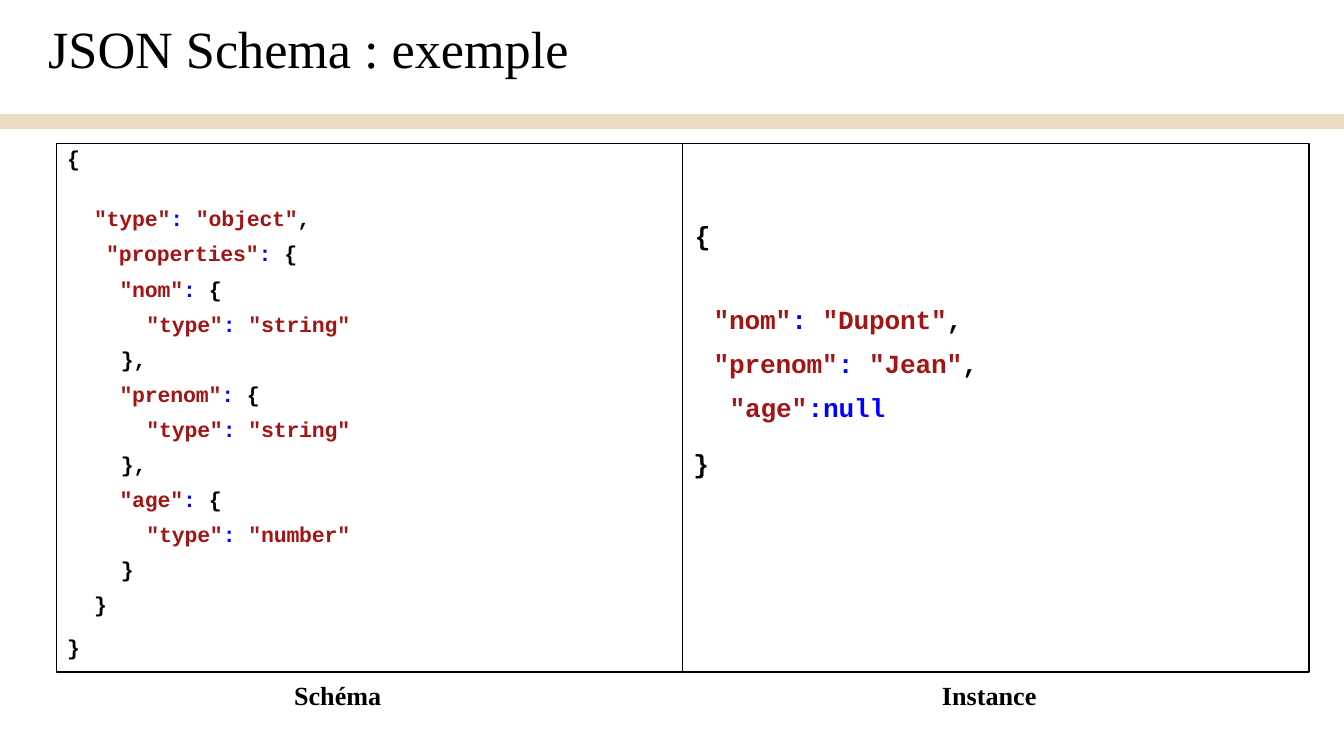
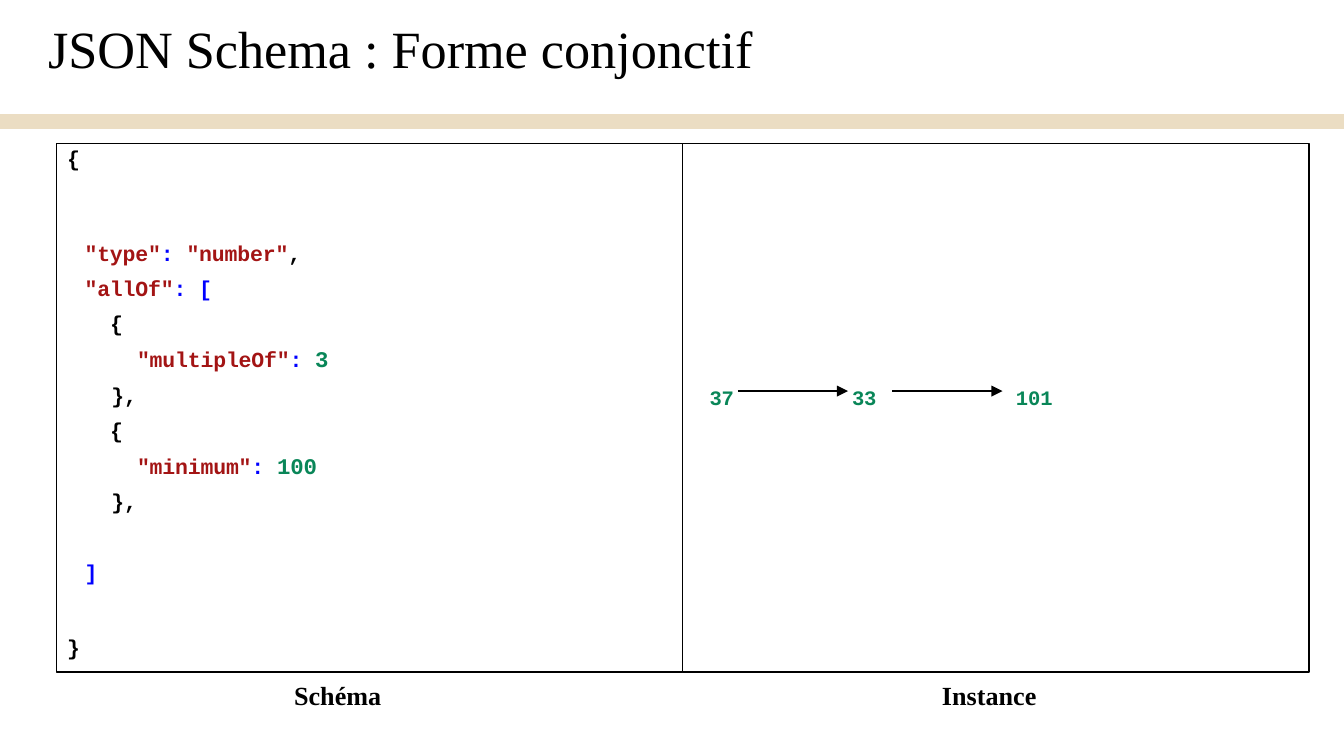
from dataclasses import dataclass
from typing import Optional

from pptx import Presentation
from pptx.dml.color import RGBColor
from pptx.enum.shapes import MSO_CONNECTOR, MSO_SHAPE
from pptx.enum.text import MSO_AUTO_SIZE
from pptx.oxml.ns import qn
from pptx.util import Emu, Pt
from lxml import etree

RECT = MSO_SHAPE.RECTANGLE
STRAIGHT = MSO_CONNECTOR.STRAIGHT
GROW = MSO_AUTO_SIZE.SHAPE_TO_FIT_TEXT

# Shared look: 100 px to the inch
EMU_PER_PX = 9144
SLIDE_W = 1000
SERIF, MONO = "Times New Roman", "Courier New"
BLACK, WHITE, BAND = "000000", "FFFFFF", "EBDDC3"
RED, BLUE, GREEN = "A31414", "0000FF", "098658"
PANEL_TOP, PANEL_W, PANEL_H = 107, 466, 393
PANEL_LEFTS = (42, 508)
TIGHT = -0.1  # letter spacing of code, in points


@dataclass(frozen=True)
class Run:
    text: str
    color: str = BLACK
    size: Optional[float] = None


@dataclass(frozen=True)
class Line:
    runs: tuple[Run, ...]
    indent: int = 1
    before: float = 5
    spacing: Optional[float] = None


@dataclass(frozen=True)
class Code:
    x: int
    y: int
    w: int
    h: int
    size: float
    lines: tuple[Line, ...]


@dataclass(frozen=True)
class Arrow:
    x: int
    y: int
    length: int


@dataclass(frozen=True)
class Page:
    title: str
    title_w: int
    codes: tuple[Code, ...]
    arrows: tuple[Arrow, ...] = ()


def px(n: int) -> Emu:
    return Emu(n * EMU_PER_PX)


def rgb(color: str) -> RGBColor:
    return RGBColor.from_string(color)


# Code vocabulary
def pair(key: str, *value: Run) -> tuple[Run, ...]:
    return (Run(f'"{key}"', RED), Run(": ", BLUE), *value)


def string(text: str) -> Run:
    return Run(f'"{text}"', RED)


def mark(text: str, indent: int = 1, before: float = 5,
         color: str = BLACK) -> Line:
    return Line((Run(text, color),), indent, before)


def brace(text: str, x: int, y: int, size: float) -> Code:
    w, h = (12, 22) if size < 14 else (15, 26)
    return Code(x, y, w, h, size, (mark(text, before=1),))


def prop(name: str, kind: str) -> tuple[Line, ...]:
    return (Line(pair(name, Run("{")), 20),
            Line(pair("type", string(kind)), 40))


def rule(name: str, value: str) -> tuple[Line, ...]:
    return (mark("{", 20),
            Line(pair(name, Run(value, GREEN, 12)), 40),
            mark("},", 21))


def number(text: str, x: int) -> Code:
    return Code(x, 279, 74, 25, 11, (Line((Run(text, GREEN),), 1, 1, 1.36),))


SCHEMA_BRACES = (brace("{", 49, 107, 11.5), brace("}", 49, 471, 11.5))

PAGES = (
    Page("JSON Schema : exemple", 411, (
        *SCHEMA_BRACES,
        Code(69, 145, 204, 318, 11.5, (
            Line(pair("type", string("object"), Run(",")), 1, 1, 1.36),
            Line(pair("properties", Run("{")), 10, 0, 1.36),
            *prop("nom", "string"), mark("},", 21),
            *prop("prenom", "string"), mark("},", 21),
            *prop("age", "number"), mark("}", 21),
            mark("}"),
        )),
        brace("{", 516, 162, 14),
        Code(530, 217, 364, 97, 14, (
            Line(pair("nom", string("Dupont"), Run(",")), 1, 1, 1.34),
            Line(pair("prenom", string("Jean"), Run(",")), 1, 1, 1.34),
            Line((string("age"), Run(":null", BLUE)), 13, 1, 1.34),
        )),
        brace("}", 515, 332, 14),
    )),
    Page("JSON Schema : Forme conjonctif", 550, (
        *SCHEMA_BRACES,
        Code(62, 171, 274, 265, 11.5, (
            Line(pair("type", string("number"), Run(",")), 1, 1, 1.36),
            Line(pair("allOf", Run("[", BLUE)), 1, 0, 1.36),
            *rule("multipleOf", "3"),
            *rule("minimum", "100"),
            mark("]", 1, 24, BLUE),
        )),
        number("37", 527), number("33", 633), number("101", 755),
    ), (Arrow(549, 291, 82), Arrow(664, 291, 82))),
)


# Drawing
def add_rect(s, x: int, y: int, w: int, h: int, fill: str,
             line: Optional[str] = None) -> None:
    sp = s.shapes.add_shape(RECT, px(x), px(y), px(w), px(h))
    sp.shadow.inherit = False
    sp.fill.solid()
    sp.fill.fore_color.rgb = rgb(fill)
    if line:
        sp.line.color.rgb = rgb(line)
        sp.line.width = Pt(0.75)
    else:
        sp.line.fill.background()


def add_run(p, text: str, font: str, size: float, color: str, bold: bool):
    r = p.add_run()
    r.text = text
    r.font.name = font
    r.font.size = Pt(size)
    r.font.bold = bold
    r.font.color.rgb = rgb(color)
    return r


def add_label(s, x: int, y: int, w: int, h: int, text: str, size: float,
              bold: bool) -> None:
    tf = s.shapes.add_textbox(px(x), px(y), px(w), px(h)).text_frame
    tf.word_wrap = False
    tf.auto_size = GROW
    add_run(tf.paragraphs[0], text, SERIF, size, BLACK, bold)


def add_code(s, code: Code) -> None:
    sp = s.shapes.add_textbox(px(code.x), px(code.y), px(code.w), px(code.h))
    tf = sp.text_frame
    tf.word_wrap = True
    tf.auto_size = GROW
    tf.margin_left = tf.margin_right = tf.margin_bottom = 0
    tf.margin_top = px(1)
    for i, line in enumerate(code.lines):
        p = tf.add_paragraph() if i else tf.paragraphs[0]
        p.space_before = Pt(line.before)
        if line.spacing:
            p.line_spacing = line.spacing
        pPr = p._p.get_or_add_pPr()
        pPr.set("marL", str(px(line.indent)))
        pPr.set("indent", "0")
        for run in line.runs:
            r = add_run(p, run.text, MONO, run.size or code.size,
                        run.color, True)
            r._r.get_or_add_rPr().set("spc", str(round(TIGHT * 100)))


def add_arrow(s, arrow: Arrow) -> None:
    c = s.shapes.add_connector(STRAIGHT, px(arrow.x), px(arrow.y),
                               px(arrow.x + arrow.length), px(arrow.y))
    c.line.color.rgb = rgb(BLACK)
    c.line.width = Pt(0.75)
    etree.SubElement(c.line._get_or_add_ln(), qn("a:tailEnd"), type="triangle")
    etree.SubElement(c._element.spPr, qn("a:effectLst"))


def add_page(prs, page: Page) -> None:
    s = prs.slides.add_slide(prs.slide_layouts[6])
    add_rect(s, 0, 85, SLIDE_W, 11, BAND)
    add_label(s, 26, 7, page.title_w, 57, page.title, 28, False)
    add_label(s, 209, 501, 86, 34, "Schéma", 14, True)
    add_label(s, 691, 501, 91, 34, "Instance", 14, True)
    for left in PANEL_LEFTS:
        add_rect(s, left, PANEL_TOP, PANEL_W, PANEL_H, WHITE, BLACK)
    for code in page.codes:
        add_code(s, code)
    for arrow in page.arrows:
        add_arrow(s, arrow)


def main() -> None:
    prs = Presentation()
    prs.slide_width = px(SLIDE_W)
    prs.slide_height = Emu(px(SLIDE_W) * 9 // 16)
    for page in PAGES:
        add_page(prs, page)
    prs.save("out.pptx")


if __name__ == "__main__":
    main()
